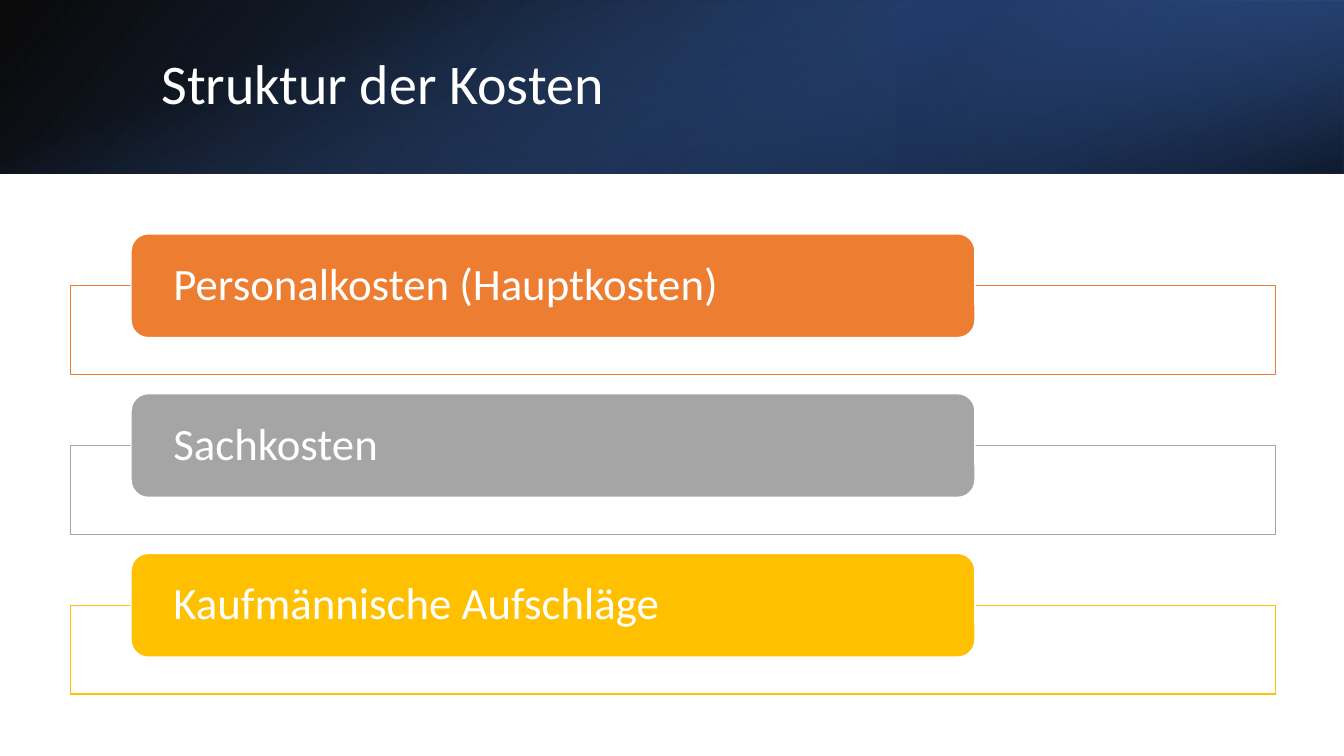
from lxml.etree import SubElement
from pptx import Presentation
from pptx.dml.color import RGBColor
from pptx.enum.shapes import MSO_SHAPE
from pptx.enum.text import MSO_ANCHOR, MSO_AUTO_SIZE, PP_ALIGN
from pptx.oxml.ns import qn
from pptx.util import Inches, Pt

COLORS = {
    "white": "FFFFFF", "black": "000000", "navy": "203864",
    "deep_blue": "2F5597", "blue": "4472C4",
    "orange": "ED7D31", "gray": "A5A5A5", "gold": "FFC000",
}
TITLE = "Struktur der Kosten"
COSTS = [
    ("Personalkosten (Hauptkosten)", "orange"),
    ("Sachkosten", "gray"),
    ("Kaufmännische Aufschläge", "gold"),
]
BANNERS = [
    {"box": (0, 0, 13.33, 1.72), "turn": 0, "flip": True, "angle": 140,
     "stops": [(0, "black", 96), (100, "deep_blue", 100)]},
    {"box": (8.89, 0, 4.44, 1.72), "turn": 180, "flip": True, "angle": 320,
     "stops": [(19, "navy", 68), (100, "blue", 79)]},
    {"box": (5.8, -5.8, 1.72, 13.33), "turn": 90, "flip": False, "angle": 340,
     "stops": [(23, "blue", 0), (99, "black", 74)]},
]
FIRST_LABEL_TOP = 2.32
ROW_STEP = 1.585
FRAME_DROP = 0.515


def rgb(name):
    return RGBColor.from_string(COLORS[name])


def set_opacity(color_element, percent):
    SubElement(color_element, qn("a:alpha")).set("val", str(percent * 1000))


def add_box(page, kind, box, fill=None, line=None):
    shape = page.shapes.add_shape(kind, *map(Inches, box))
    shape.shadow.inherit = False
    if fill:
        shape.fill.solid()
        shape.fill.fore_color.rgb = rgb(fill)
    if line:
        shape.line.color.rgb = rgb(line)
        shape.line.width = Pt(1)
    else:
        shape.line.fill.background()
    return shape


def write(shape, text, size, color="white", left=0.1, right=0.1):
    frame = shape.text_frame
    frame.word_wrap = True
    frame.auto_size = MSO_AUTO_SIZE.NONE
    frame.vertical_anchor = MSO_ANCHOR.MIDDLE
    frame.margin_left, frame.margin_right = Inches(left), Inches(right)
    para = frame.paragraphs[0]
    para.alignment = PP_ALIGN.LEFT
    para.line_spacing = 0.9
    span = para.add_run()
    span.text = text
    span.font.name = "Calibri"
    span.font.size = Pt(size)
    span.font.color.rgb = rgb(color)


def add_banner(page, box, turn, flip, angle, stops):
    banner = add_box(page, MSO_SHAPE.RECTANGLE, box)
    banner.rotation = turn
    if flip:
        banner.element.spPr.find(qn("a:xfrm")).set("flipH", "1")
    banner.fill.gradient()
    banner.fill.gradient_angle = 360 - angle
    for stop, (position, color, opacity) in zip(banner.fill.gradient_stops, stops):
        stop.position = position / 100
        stop.color.rgb = rgb(color)
    for element, (position, color, opacity) in zip(
            banner.element.spPr.iter(qn("a:srgbClr")), stops):
        set_opacity(element, opacity)
    return banner


def add_cost(page, row, text, color):
    top = FIRST_LABEL_TOP + row * ROW_STEP
    frame = add_box(page, MSO_SHAPE.RECTANGLE,
                    (0.7, top + FRAME_DROP, 11.95, 0.88), "white", color)
    set_opacity(next(frame.element.spPr.iter(qn("a:srgbClr"))), 90)
    label = add_box(page, MSO_SHAPE.ROUNDED_RECTANGLE,
                    (1.3, top, 8.37, 1.03), color, "white")
    write(label, text, 32, left=0.37, right=0.37)


def main():
    deck = Presentation()
    deck.slide_width, deck.slide_height = Inches(13.33), Inches(7.5)
    page = deck.slides.add_slide(deck.slide_layouts[5])
    title = page.shapes.title
    title.left, title.top = Inches(1.5), Inches(0.38)
    title.width, title.height = Inches(10.98), Inches(0.96)
    write(title, TITLE, 40)
    for settings in BANNERS:
        banner = add_banner(page, **settings)
        title.element.addprevious(banner.element)
    for row, (text, color) in enumerate(COSTS):
        add_cost(page, row, text, color)
    deck.save("out.pptx")


if __name__ == "__main__":
    main()
